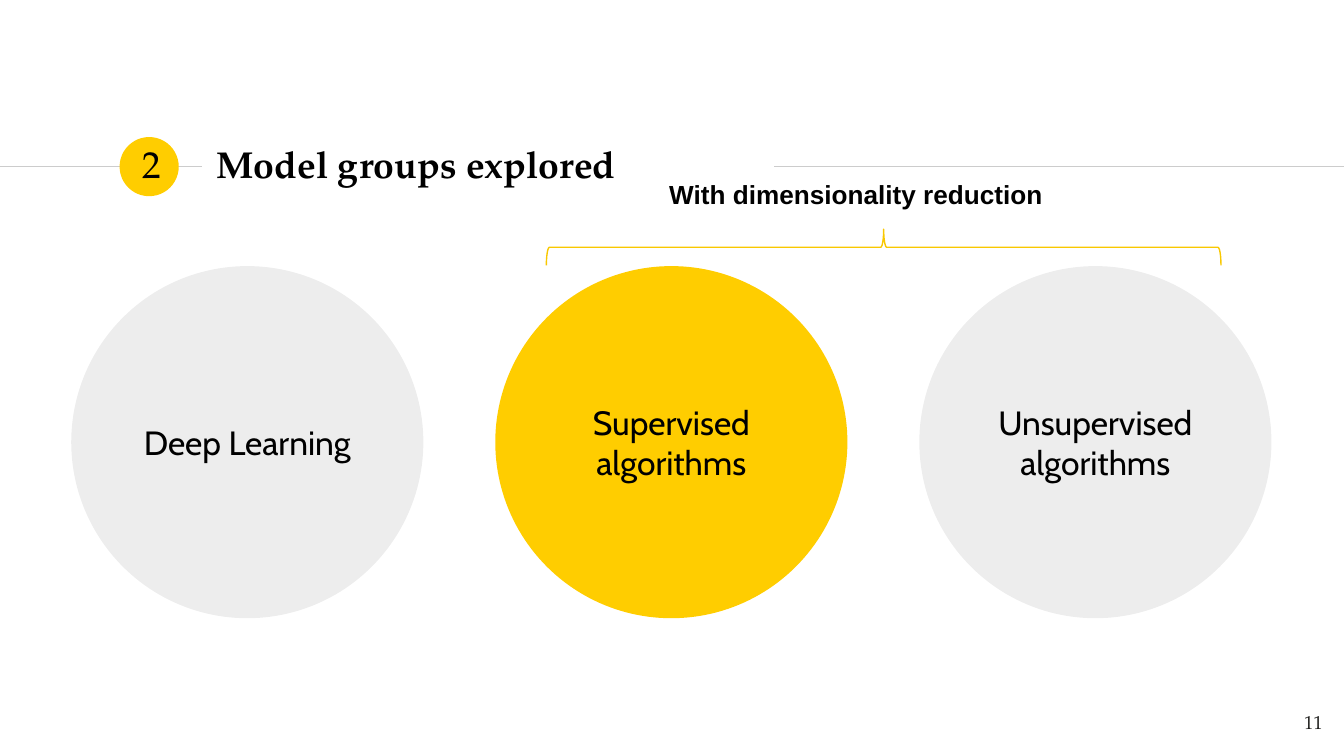
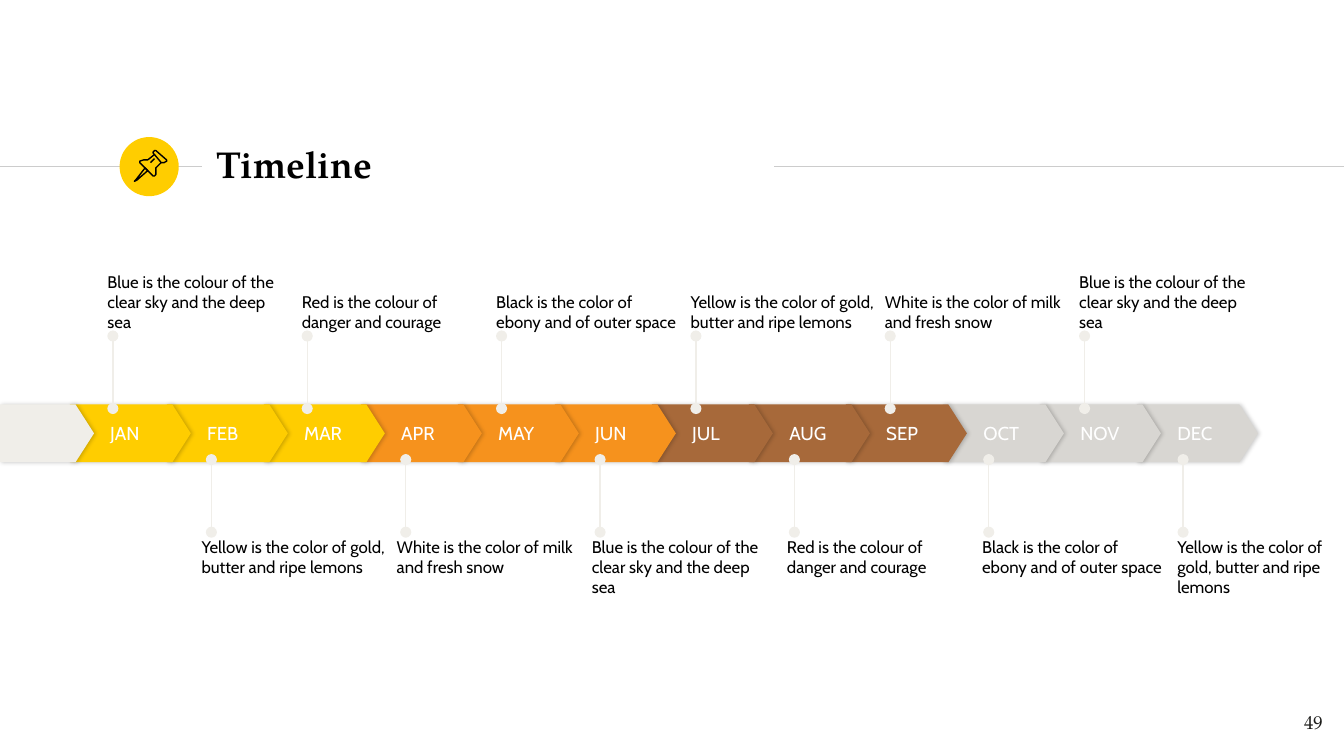
"""Build the model groups slide and the timeline slide."""
from typing import NamedTuple

from lxml.etree import SubElement as Sub
from pptx import Presentation
from pptx.dml.color import RGBColor as Rgb
from pptx.enum.shapes import MSO_CONNECTOR as Wire, MSO_SHAPE as Form
from pptx.enum.text import MSO_ANCHOR as Anchor, MSO_AUTO_SIZE as Fit, PP_ALIGN as Align
from pptx.oxml.ns import qn
from pptx.util import Inches, Pt

COLORS = {
    "gold": "FFCD00", "orange": "F6921D", "brown": "A7693A", "gray": "D8D6D2",
    "pale": "F0EEE9", "rule": "CCCCCC", "brace": "F9C800", "black": "000000",
    "white": "FFFFFF", "ink": "1D1D1B",
}
SERIF, SANS = "TeX Gyre Pagella", "Cabin"
STEP = 7.94 / 11
PITCH = 7.23 / 10
LOW = 7.26 / 10


class Box(NamedTuple):
    left: float
    top: float
    width: float
    height: float


class Style(NamedTuple):
    font: str
    size: float
    color: str = "black"
    bold: bool = False
    align: Align = Align.LEFT
    anchor: Anchor = Anchor.TOP
    inset: tuple = (0.1, 0.1, 0.1, 0.1)


class Group(NamedTuple):
    name: str
    fill: str
    alpha: int


class Month(NamedTuple):
    name: str
    fill: str
    note: str


class Stroke(NamedTuple):
    points: list
    closed: bool


TITLE = Style(SERIF, 20, bold=True, anchor=Anchor.MIDDLE)
BADGE = Style(SERIF, 20, align=Align.CENTER, anchor=Anchor.MIDDLE)
PAGE = Style(SERIF, 10, "ink", align=Align.RIGHT)
GROUP = Style(SANS, 18, align=Align.CENTER, anchor=Anchor.MIDDLE)
LABEL = Style("Arial", 14, bold=True, inset=(0.1, 0.05, 0.1, 0.05))
MONTH = Style(SANS, 10, "white", anchor=Anchor.MIDDLE, inset=(0.3, 0, 0, 0))
UPPER = Style(SANS, 9, anchor=Anchor.BOTTOM, inset=(0, 0, 0, 0))
LOWER = UPPER._replace(anchor=Anchor.TOP)

GROUPS = [
    Group("Deep Learning", "black", 7),
    Group("Supervised algorithms", "gold", 100),
    Group("Unsupervised algorithms", "black", 7),
]

BLUE = "Blue is the colour of the clear sky and the deep sea"
RED = "Red is the colour of danger and courage"
BLACK = "Black is the color of ebony and of outer space"
YELLOW = "Yellow is the color of gold, butter and ripe lemons"
WHITE = "White is the color of milk and fresh snow"

MONTHS = [
    Month("JAN", "gold", BLUE), Month("FEB", "gold", YELLOW),
    Month("MAR", "gold", RED), Month("APR", "orange", WHITE),
    Month("MAY", "orange", BLACK), Month("JUN", "orange", BLUE),
    Month("JUL", "brown", YELLOW), Month("AUG", "brown", RED),
    Month("SEP", "brown", WHITE), Month("OCT", "gray", BLACK),
    Month("NOV", "gray", BLUE), Month("DEC", "gray", YELLOW),
]

PIN = [
    Stroke([(108, 125), (101, 134), (100, 135), (102, 134), (110, 127)], True),
    Stroke([(115, 115), (120, 121), (122, 121), (124, 120), (124, 119),
            (116, 112), (115, 112), (114, 113), (114, 114)], True),
    Stroke([(115, 115), (110, 119), (107, 119), (104, 120), (104, 121),
            (114, 131), (115, 131), (116, 130), (116, 125), (120, 121)], False),
    Stroke([(112, 121), (115, 118)], False),
]


def tint(name: str) -> Rgb:
    """Return a named colour."""
    return Rgb.from_string(COLORS[name])


def place(box: Box) -> list:
    """Turn a box into lengths."""
    return [Inches(n) for n in box]


def write(shape, text: str, style: Style) -> None:
    """Set and format the text of a shape."""
    frame = shape.text_frame
    frame.text = text
    frame.word_wrap = True
    frame.auto_size = Fit.NONE
    frame.vertical_anchor = style.anchor
    (frame.margin_left, frame.margin_top,
     frame.margin_right, frame.margin_bottom) = [Inches(n) for n in style.inset]
    for para in frame.paragraphs:
        para.alignment = style.align
        for run in para.runs:
            font = run.font
            font.name, font.size, font.bold = style.font, Pt(style.size), style.bold
            font.color.rgb = tint(style.color)


def add_text(slide, box: Box, text: str, style: Style) -> None:
    """Add a text box."""
    write(slide.shapes.add_textbox(*place(box)), text, style)


def add_form(slide, form: Form, box: Box, fill: str, alpha: int = 100):
    """Add a filled shape without outline."""
    shape = slide.shapes.add_shape(form, *place(box))
    shape.shadow.inherit = False
    shape.fill.solid()
    shape.fill.fore_color.rgb = tint(fill)
    shape.line.fill.background()
    if alpha < 100:
        color = shape._element.spPr.find(qn("a:solidFill"))[0]
        Sub(color, qn("a:alpha"), val=str(alpha * 1000))
    return shape


def add_line(slide, start: tuple, end: tuple, color: str, dots: bool = False) -> None:
    """Add a thin line, with dots at both ends if asked."""
    line = slide.shapes.add_connector(Wire.STRAIGHT, *[Inches(n) for n in start + end])
    line.line.color.rgb = tint(color)
    line.line.width = Pt(0.75)
    if dots:
        for end_tag in ("a:headEnd", "a:tailEnd"):
            Sub(line.line._get_or_add_ln(), qn(end_tag), type="oval")
    Sub(line._element.spPr, qn("a:effectLst"))


def add_plate(slide, box: Box, fill: str):
    """Add an arrow plate with a soft shadow."""
    plate = add_form(slide, Form.PENTAGON, box, fill)
    plate.adjustments[0] = 0.32
    effects = plate._element.spPr.find(qn("a:effectLst"))
    shade = Sub(effects, qn("a:outerShdw"), blurRad=str(Pt(2.2)), dist=str(Pt(0.8)),
                dir="0", algn="ctr", rotWithShape="0")
    color = Sub(shade, qn("a:srgbClr"), val=COLORS["black"])
    Sub(color, qn("a:alpha"), val="20000")
    return plate


def add_pin(slide) -> None:
    """Draw the pin icon on the badge."""
    for stroke in PIN:
        build = slide.shapes.build_freeform(*stroke.points[0], scale=Inches(1) / 100)
        build.add_line_segments(stroke.points[1:], close=stroke.closed)
        shape = build.convert_to_shape()
        shape.shadow.inherit = False
        shape.fill.background()
        shape.line.color.rgb = tint("black")
        shape.line.width = Pt(0.75)


def add_slide(deck, title: str, page: str):
    """Add a slide with its title, rules, badge and page number."""
    slide = deck.slides.add_slide(deck.slide_layouts[5])
    add_line(slide, (0, 1.24), (1.5, 1.24), "rule")
    add_form(slide, Form.OVAL, Box(0.89, 1.02, 0.44, 0.44), "gold")
    add_line(slide, (5.76, 1.24), (10, 1.24), "rule")
    head = slide.shapes.title
    head.left, head.top, head.width, head.height = place(Box(1.51, 0.98, 4.24, 0.48))
    write(head, title, TITLE)
    add_text(slide, Box(9.34, 5.19, 0.6, 0.43), page, PAGE)
    return slide


def draw_groups(deck) -> None:
    """Draw the model groups slide."""
    slide = add_slide(deck, "Model groups explored", "11")
    for i, group in enumerate(GROUPS):
        box = Box(0.53 + 6.31 / 2 * i, 1.98, 2.62, 2.62)
        write(add_form(slide, Form.OVAL, box, group.fill, group.alpha), group.name, GROUP)
    brace = slide.shapes.add_shape(Form.RIGHT_BRACE, *place(Box(6.44, -0.67, 0.27, 5.02)))
    brace.rotation = 270
    brace.shadow.inherit = False
    brace.fill.background()
    brace.line.color.rgb = tint("brace")
    brace.line.width = Pt(0.75)
    add_text(slide, Box(4.88, 1.28, 3.39, 0.34), "With dimensionality reduction", LABEL)
    add_text(slide, Box(0.96, 1.03, 0.34, 0.38), "2", BADGE)


def draw_times(deck) -> None:
    """Draw the timeline slide."""
    slide = add_slide(deck, "Timeline", "49")
    for i, month in reversed(list(enumerate(MONTHS))):
        plate = add_plate(slide, Box(0.52 + STEP * i, 3.01, 0.9, 0.43), month.fill)
        write(plate, month.name, MONTH)
    add_plate(slide, Box(0, 3.01, 0.7, 0.43), "pale")
    for i, month in enumerate(MONTHS):
        if i % 2:
            x, base, style = 0.85 + PITCH * i, 3.96, LOWER
            left, top = 1.5 + LOW * (i - 1), 3.99
        else:
            x, base, style = 0.84 + PITCH * i, 3.04, UPPER
            left, top = 0.8 + PITCH * i, 1.89
        add_line(slide, (x, base), (x, base - 0.54), "pale", dots=True)
        add_text(slide, Box(left, top, min(1.37, 9.89 - left), 0.58), month.note, style)
    add_pin(slide)


def main() -> None:
    """Build and save the deck."""
    deck = Presentation()
    deck.slide_width = Inches(10)
    deck.slide_height = deck.slide_width * 9 // 16
    draw_groups(deck)
    draw_times(deck)
    deck.save("out.pptx")


if __name__ == "__main__":
    main()
